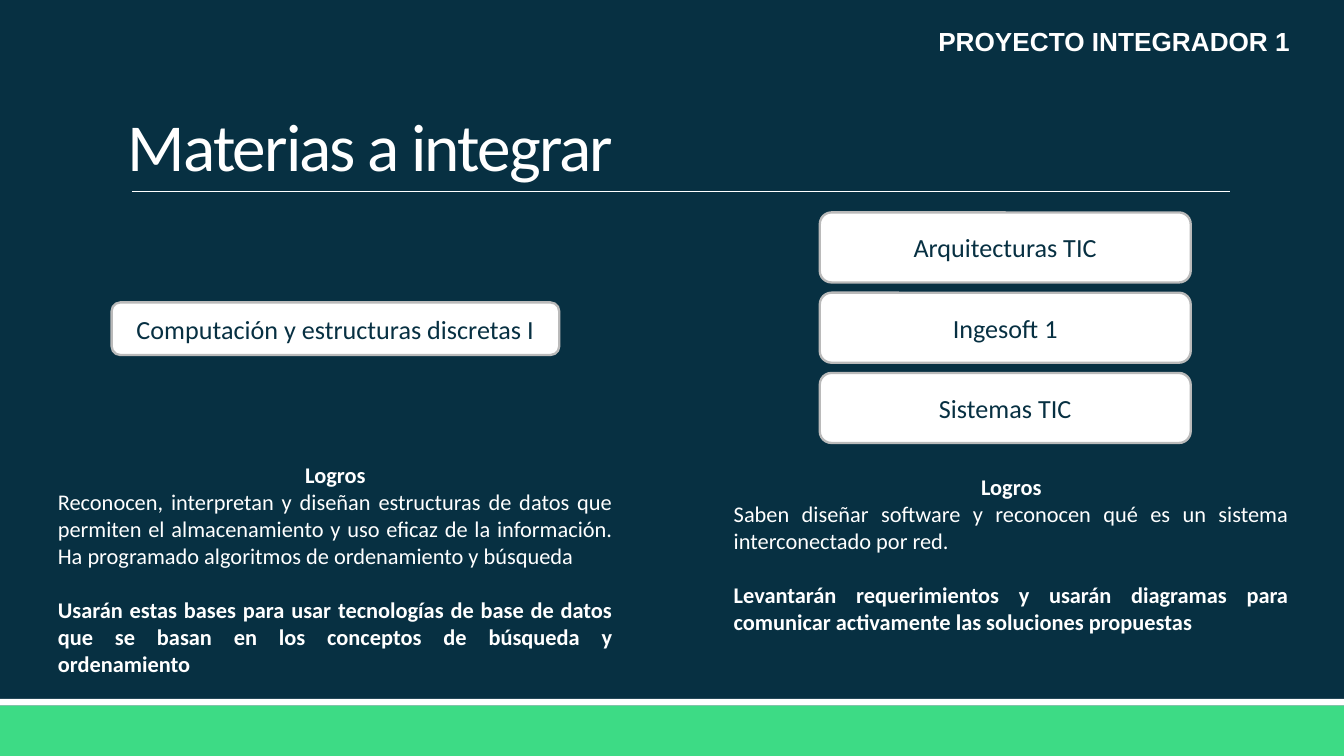
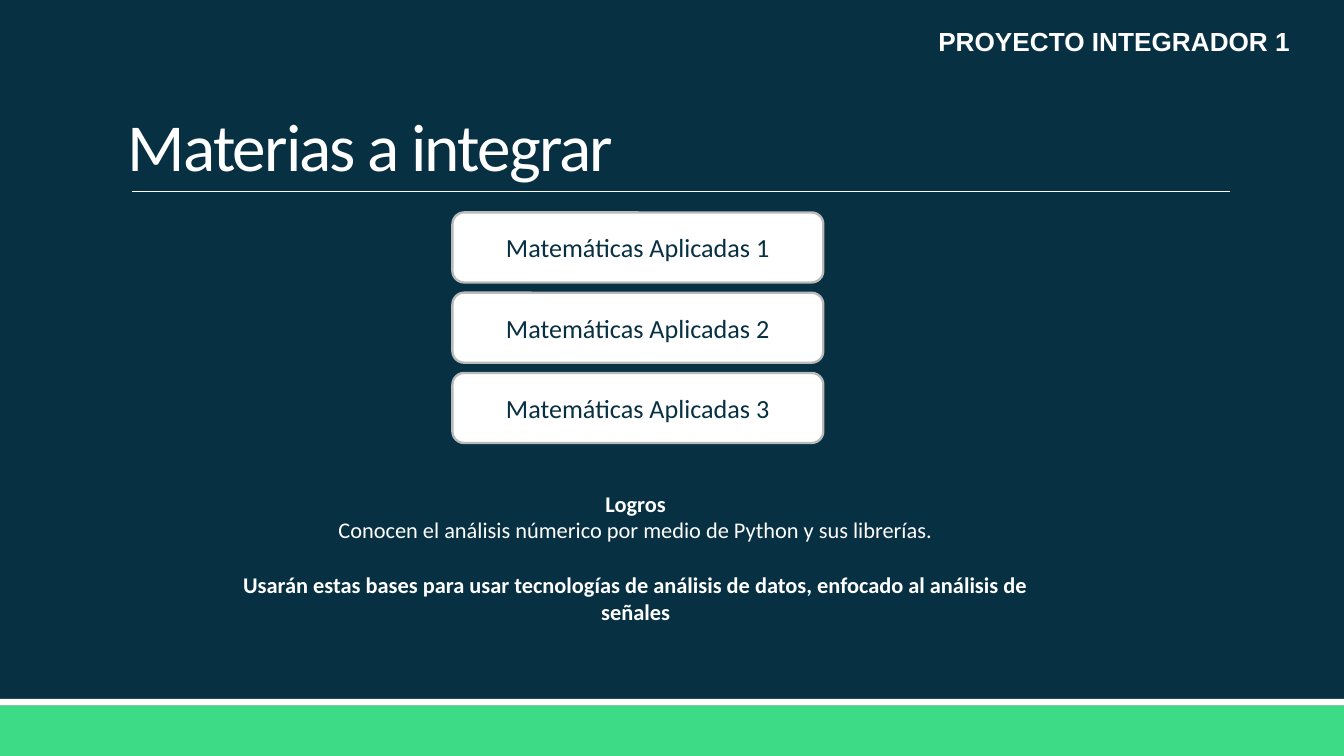
from collections import namedtuple
from dataclasses import dataclass

from lxml.etree import SubElement
from pptx import Presentation
from pptx.dml.color import RGBColor
from pptx.enum.shapes import MSO_CONNECTOR, MSO_SHAPE
from pptx.enum.text import MSO_ANCHOR, MSO_AUTO_SIZE, PP_ALIGN
from pptx.oxml.ns import qn
from pptx.util import Pt

Box = namedtuple("Box", "left top width height")


@dataclass(frozen=True)
class Theme:
    navy: RGBColor = RGBColor(0x07, 0x30, 0x42)
    green: RGBColor = RGBColor(0x3D, 0xDB, 0x85)
    white: RGBColor = RGBColor(0xFF, 0xFF, 0xFF)
    card_edge: RGBColor = RGBColor(0xBA, 0xBA, 0xBA)
    body_font: str = "Calibri"
    header_font: str = "Arial"
    title_size: float = 36
    label_size: float = 14
    body_size: float = 12
    body_line: float = 14.65
    inset: float = 3.6


THEME = Theme()
PAGE = Box(0, 0, 720, 405)
TITLE = Box(64.8, 17.2, 594, 85.8)
HEADER = Box(262.8, 10.1, 432, 23)
CARD_HEIGHT, CARD_GAP = 37.5, 5.5


def apply(target, **values):
    for attribute, value in values.items():
        setattr(target, attribute, value)


def points(box):
    return [Pt(length) for length in box]


def format_frame(frame, anchor=MSO_ANCHOR.TOP):
    inset = Pt(THEME.inset)
    apply(frame, word_wrap=True, auto_size=MSO_AUTO_SIZE.NONE,
          vertical_anchor=anchor, margin_left=inset, margin_right=inset,
          margin_top=inset, margin_bottom=inset)


def write(paragraph, text, size, color=THEME.white, font=THEME.body_font,
          bold=False, **paragraph_format):
    apply(paragraph, **paragraph_format)
    run = paragraph.add_run()
    run.text = text
    apply(run.font, size=Pt(size), name=font, bold=bold)
    run.font.color.rgb = color
    return run


def add_filled(slide, preset, box, color):
    shape = slide.shapes.add_shape(preset, *points(box))
    shape.shadow.inherit = False
    shape.fill.solid()
    shape.fill.fore_color.rgb = color
    shape.line.fill.background()
    return shape


def add_text_frame(slide, box):
    frame = slide.shapes.add_textbox(*points(box)).text_frame
    format_frame(frame)
    return frame


# Bottom bands
def add_bands(slide, page):
    for top, height, color in ((374.4, 3.6, THEME.white),
                               (378, 27, THEME.green)):
        band = Box(page.left, page.top + top, page.width, height)
        add_filled(slide, MSO_SHAPE.RECTANGLE, band, color)


# Title with the rule under it
def add_title(slide, box, text):
    title = slide.shapes.title
    apply(title, **dict(zip(Box._fields, points(box))))
    format_frame(title.text_frame, MSO_ANCHOR.BOTTOM)
    run = write(title.text_frame.paragraphs[0], text, THEME.title_size,
                alignment=PP_ALIGN.LEFT, line_spacing=0.85)
    run.font._element.set("spc", "-100")

    bottom = box.top + box.height
    rule = slide.shapes.add_connector(
        MSO_CONNECTOR.STRAIGHT, Pt(box.left + 5.8), Pt(bottom - 0.4),
        Pt(box.left + box.width), Pt(bottom - 0.4))
    rule.line.color.rgb = THEME.white
    rule.line.width = Pt(0.5)
    SubElement(rule._element.spPr, qn("a:effectLst"))


# Course name at the top right
def add_header(slide, box, text):
    write(add_text_frame(slide, box).paragraphs[0], text, THEME.label_size,
          font=THEME.header_font, bold=True, alignment=PP_ALIGN.RIGHT)


# Subject cards
def add_subject(slide, box, subject):
    card = add_filled(slide, MSO_SHAPE.ROUNDED_RECTANGLE, box, THEME.white)
    card.adjustments[0] = 0.167
    card.line.color.rgb = THEME.card_edge
    card.line.width = Pt(1.25)
    format_frame(card.text_frame, MSO_ANCHOR.MIDDLE)
    write(card.text_frame.paragraphs[0], subject, THEME.label_size,
          THEME.navy, alignment=PP_ALIGN.CENTER)


def add_subject_column(slide, left, top, width, subjects):
    for row, subject in enumerate(subjects):
        card_top = top + row * (CARD_HEIGHT + CARD_GAP)
        add_subject(slide, Box(left, card_top, width, CARD_HEIGHT), subject)


# Achievements: heading, what they know, what they will do
def add_achievements(slide, box, known, planned, alignment):
    frame = add_text_frame(slide, box)
    write(frame.paragraphs[0], "Logros", THEME.body_size, bold=True,
          alignment=PP_ALIGN.CENTER)
    write(frame.add_paragraph(), known, THEME.body_size, alignment=alignment)
    write(frame.add_paragraph(), planned, THEME.body_size, bold=True,
          alignment=alignment, space_before=Pt(THEME.body_line))


def add_subjects_slide(deck):
    slide = deck.slides.add_slide(deck.slide_layouts[5])
    add_bands(slide, PAGE)
    add_title(slide, TITLE, "Materias a integrar")
    add_header(slide, HEADER, "PROYECTO INTEGRADOR 1")
    return slide


def build_computing_slide(deck):
    slide = add_subjects_slide(deck)
    add_achievements(
        slide, Box(27.4, 243.6, 304.6, 125.8),
        "Reconocen, interpretan y diseñan estructuras de datos que permiten "
        "el almacenamiento y uso eficaz de la información. Ha programado "
        "algoritmos de ordenamiento y búsqueda",
        "Usarán estas bases para usar tecnologías de base de datos que se "
        "basan en los conceptos de búsqueda y ordenamiento",
        PP_ALIGN.JUSTIFY)
    add_achievements(
        slide, Box(389.5, 250, 304.6, 94.3),
        "Saben diseñar software y reconocen qué es un sistema "
        "interconectado por red.",
        "Levantarán requerimientos y usarán diagramas para comunicar "
        "activamente las soluciones propuestas",
        PP_ALIGN.JUSTIFY)
    add_subject(slide, Box(59.8, 162, 239.8, 28.2),
                "Computación y estructuras discretas I")
    add_subject_column(slide, 439.2, 113.8, 198.7,
                       ("Arquitecturas TIC", "Ingesoft 1", "Sistemas TIC"))


def build_mathematics_slide(deck):
    slide = add_subjects_slide(deck)
    add_achievements(
        slide, Box(108.7, 258.8, 463.7, 81),
        "Conocen el análisis númerico por medio de Python y sus librerías.",
        "Usarán estas bases para usar tecnologías de análisis de datos, "
        "enfocado al análisis de señales",
        PP_ALIGN.CENTER)
    add_subject_column(slide, 242.4, 113.8, 198.7,
                       [f"Matemáticas Aplicadas {level}"
                        for level in range(1, 4)])


def main():
    deck = Presentation()
    apply(deck, slide_width=Pt(PAGE.width), slide_height=Pt(PAGE.height))
    background = deck.slide_master.background.fill
    background.solid()
    background.fore_color.rgb = THEME.navy
    build_computing_slide(deck)
    build_mathematics_slide(deck)
    deck.save("out.pptx")


if __name__ == "__main__":
    main()
